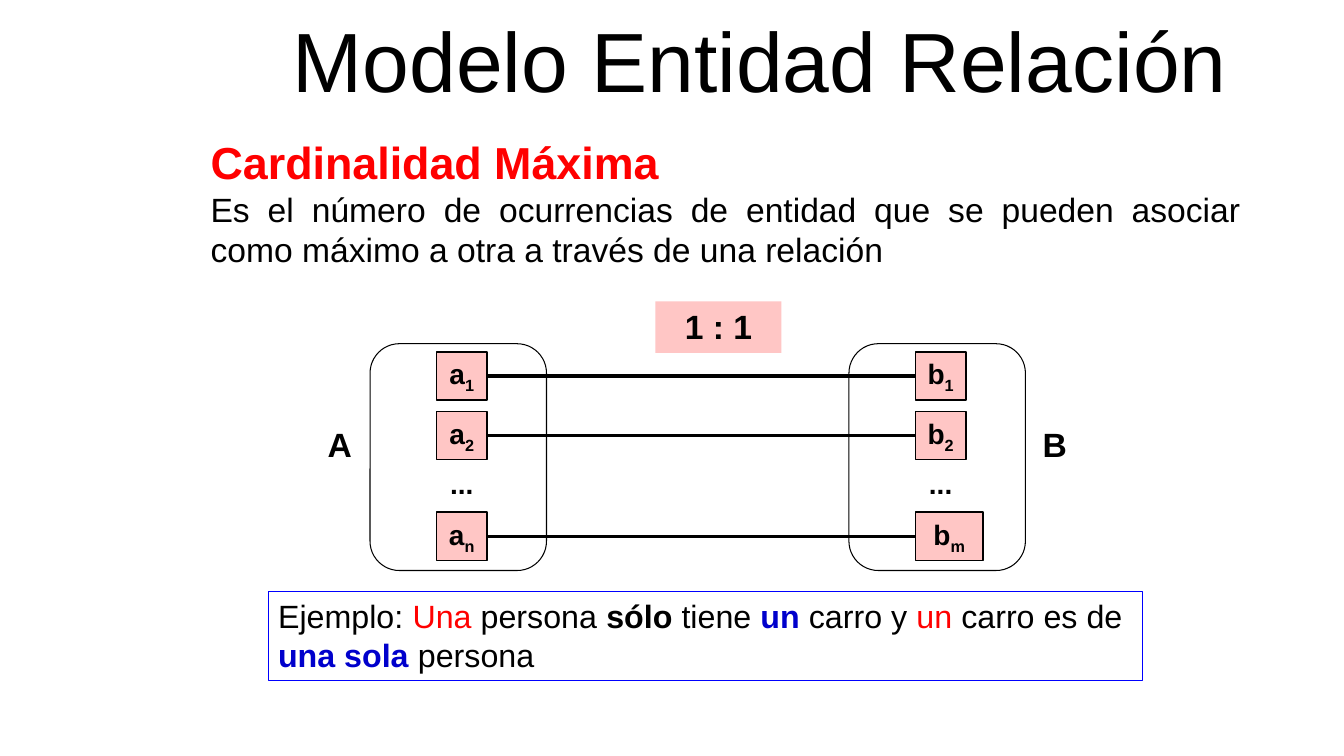
from lxml import etree
from pptx import Presentation
from pptx.dml.color import RGBColor
from pptx.enum.shapes import MSO_CONNECTOR, MSO_SHAPE
from pptx.enum.text import MSO_ANCHOR, PP_ALIGN
from pptx.oxml.ns import qn
from pptx.util import Inches, Pt

RECT = MSO_SHAPE.RECTANGLE
ROUNDED = MSO_SHAPE.ROUNDED_RECTANGLE
STRAIGHT = MSO_CONNECTOR.STRAIGHT
LEFT, CENTER, JUSTIFY = PP_ALIGN.LEFT, PP_ALIGN.CENTER, PP_ALIGN.JUSTIFY
TOP, MIDDLE = MSO_ANCHOR.TOP, MSO_ANCHOR.MIDDLE
SIDE_LEFT, SIDE_RIGHT = 1, 3

COLORS = {
    "black": "000000",
    "red": "FF0000",
    "blue": "0000CC",
    "frame": "0000FF",
    "pink": "FFC6C5",
}


def rgb(name):
    return RGBColor.from_string(COLORS[name])


def add_run(p, text, size=24, color="black", bold=False, baseline=0):
    r = p.add_run()
    r.text = text
    r.font.name = "Arial"
    r.font.size = Pt(size)
    r.font.bold = bold
    r.font.color.rgb = rgb(color)
    if baseline:
        r._r.get_or_add_rPr().set("baseline", str(baseline * 1000))


class Slide:
    def __init__(self, prs):
        self.shapes = prs.slides.add_slide(prs.slide_layouts[6]).shapes

    def fill_text(self, s, paragraphs, align=LEFT, anchor=TOP, spacing=None):
        tf = s.text_frame
        tf.word_wrap = True
        tf.vertical_anchor = anchor
        for i, runs in enumerate(paragraphs):
            p = tf.add_paragraph() if i else tf.paragraphs[0]
            p.alignment = align[i] if isinstance(align, list) else align
            p.line_spacing = spacing
            for text, fmt in runs:
                add_run(p, text, **fmt)

    def text(self, box, paragraphs, **layout):
        s = self.shapes.add_textbox(*map(Inches, box))
        self.fill_text(s, paragraphs, **layout)

    def box(self, box, paragraphs=(), kind=RECT, fill=None, line=None, width=0.75, align=CENTER):
        s = self.shapes.add_shape(kind, *map(Inches, box))
        s.shadow.inherit = False
        if fill:
            s.fill.solid()
            s.fill.fore_color.rgb = rgb(fill)
        else:
            s.fill.background()
        if line:
            s.line.color.rgb = rgb(line)
            s.line.width = Pt(width)
        else:
            s.line.fill.background()
        self.fill_text(s, paragraphs, align=align)
        return s

    def join(self, start, end):
        s = self.shapes.add_connector(STRAIGHT, 0, 0, 0, 0)
        s.begin_connect(start, SIDE_RIGHT)
        s.end_connect(end, SIDE_LEFT)
        s.line.color.rgb = rgb("black")
        s.line.width = Pt(2.25)
        etree.SubElement(s._element.spPr, qn("a:effectLst"))

    def entity_set(self, left, letter, members):
        self.box((left, 3.41, 1.75, 2.25), kind=ROUNDED, line="black")
        item = {"size": 20, "bold": True}
        x = left + 0.66
        boxes = []
        for (index, width), y in zip(members, (3.49, 4.08, 5.08)):
            runs = [(letter, item), (index, {**item, "baseline": -25})]
            boxes.append(self.box((x, y, width, 0.48), [runs],
                                  fill="pink", line="black", width=1))
        self.text((x, 4.58, 0.5, 0.44), [[("...", item)]], align=CENTER)
        return boxes


def main():
    prs = Presentation()
    prs.slide_width, prs.slide_height = Inches(13.33), Inches(7.5)
    slide = Slide(prs)

    slide.text((1.99, 1.29, 10.41, 1.45), [
        [("Cardinalidad Máxima", {"size": 32, "color": "red", "bold": True})],
        [("Es el número de ocurrencias de entidad que se pueden asociar "
          "como máximo a otra a través de una relación", {})],
    ], align=[LEFT, JUSTIFY])
    slide.text((1.99, 0, 11.09, 1.29), [[("Modelo Entidad Relación", {"size": 60})]],
               align=CENTER, anchor=MIDDLE, spacing=0.9)

    plain = {"size": 23}
    red = {"size": 23, "color": "red"}
    blue = {"size": 23, "color": "blue", "bold": True}
    slide.box((2.66, 5.87, 8.67, 0.88), [[
        ("Ejemplo: ", plain), ("Una", red), (" persona ", plain),
        ("sólo ", {"size": 23, "bold": True}), ("tiene ", plain), ("un", blue),
        (" carro y ", plain), ("un ", red), ("carro es de ", plain),
        ("una sola ", blue), ("persona", plain),
    ]], line="frame", align=LEFT)

    slide.box((6.5, 2.99, 1.25, 0.51), [[("1 : 1", {"bold": True})]], fill="pink")

    a_boxes = slide.entity_set(3.67, "a", [("1", 0.5), ("2", 0.5), ("n", 0.5)])
    b_boxes = slide.entity_set(8.42, "b", [("1", 0.5), ("2", 0.5), ("m", 0.67)])
    for a, b in zip(a_boxes, b_boxes):
        slide.join(a, b)
    for name, left in (("A", 3.08), ("B", 10.17)):
        slide.text((left, 4.16, 0.58, 0.5), [[(name, {"bold": True})]], align=CENTER)

    prs.save("out.pptx")


if __name__ == "__main__":
    main()
